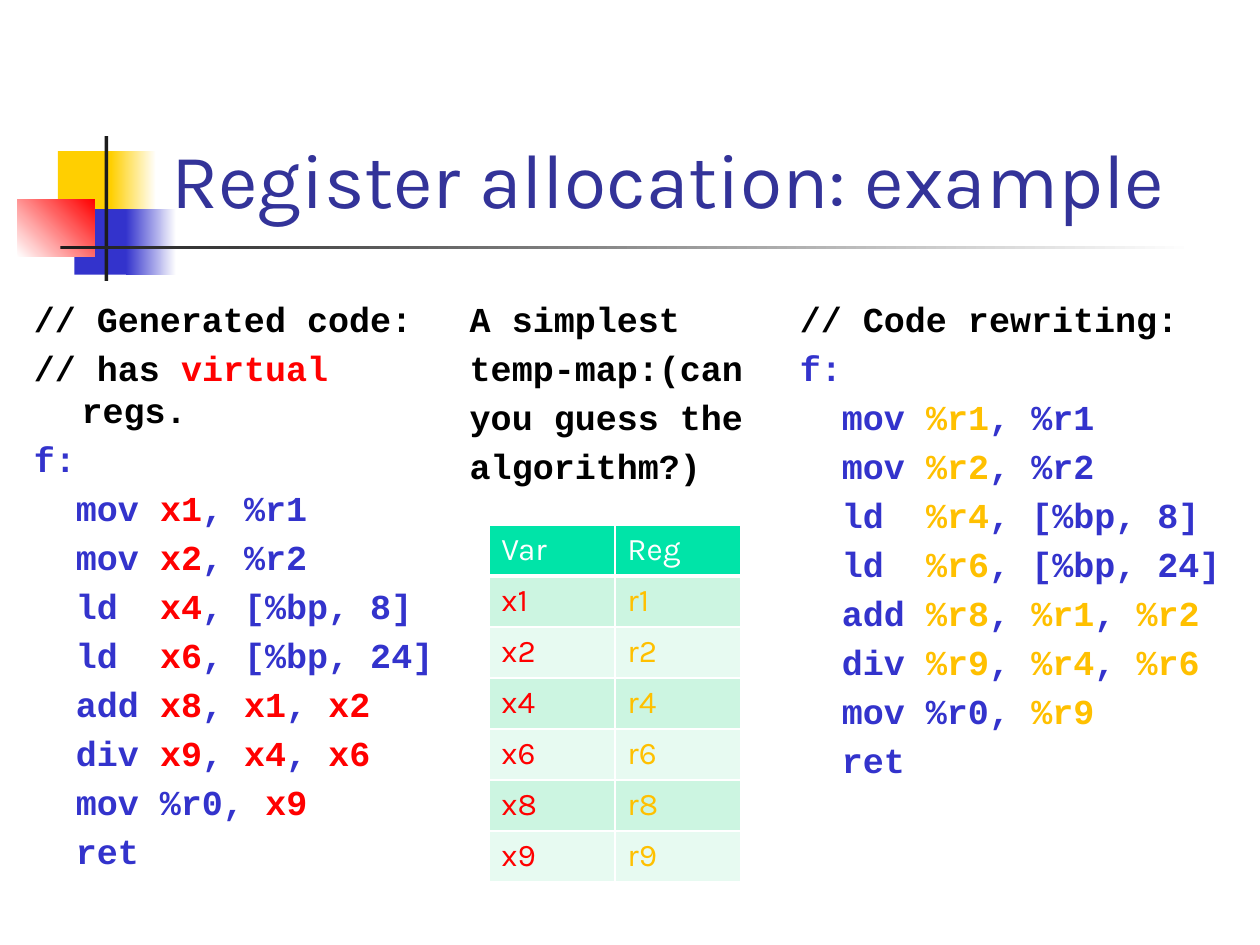
"""Build the slide 'Register allocation: example'."""
from lxml import etree
from pptx import Presentation
from pptx.dml.color import RGBColor
from pptx.enum.shapes import MSO_SHAPE
from pptx.enum.text import MSO_ANCHOR
from pptx.oxml.ns import qn
from pptx.util import Inches, Pt

RECT = MSO_SHAPE.RECTANGLE
BOTTOM = MSO_ANCHOR.BOTTOM
HEX = {
    "gold": "FFCF01", "blue": "3333CC", "red": "FF0000", "dark": "1C1C1C",
    "white": "FFFFFF", "title": "333399", "black": "000000",
    "amber": "FFC000", "head": "00E4A8", "odd": "CCF5E1", "even": "E7FAF1",
}
TITLE = "Register allocation: example"
DECOR = [
    ((0.46, 1.2, 0.48, 0.52), ["gold"], 0),
    ((0.88, 1.2, 0.36, 0.52), ["gold", "white"], 0),
    ((0.59, 1.66, 0.46, 0.52), ["blue"], 0),
    ((1, 1.66, 0.4, 0.52), ["blue", "white"], 0),
    ((0.14, 1.58, 0.61, 0.46), ["white", "red"], 45),
    ((0.83, 1.08, 0.03, 1.15), ["dark"], 0),
    ((0.48, 1.95, 9, 0.03), ["dark", "white"], 0),
]
NOTE = ["A simplest", "temp-map:(can", "you guess the", "algorithm?)"]
INTRO = ["// Generated code:", "// has |virtual| regs."]
REWRITE = ["// Code rewriting:"]
CODE = [
    "f:",
    "  mov |{0}1|, %r1",
    "  mov |{0}2|, %r2",
    "  ld  |{0}4|, [%bp, 8]",
    "  ld  |{0}6|, [%bp, 24]",
    "  add |{0}8|, |{0}1|, |{0}2|",
    "  div |{0}9|, |{0}4|, |{0}6|",
    "  mov %r0, |{0}9|",
    "  ret",
]
MAP = [("Var", "Reg")] + [(f"x{n}", f"r{n}") for n in (1, 2, 4, 6, 8, 9)]


def rgb(name):
    return RGBColor.from_string(HEX[name])


def style(font, face, size, color=None, bold=False):
    font.name, font.size, font.bold = face, Pt(size), bold
    if color:
        font.color.rgb = rgb(color)


def block(shapes, box, tint):
    item = shapes.add_shape(RECT, *map(Inches, box))
    item.shadow.inherit = False
    item.line.fill.background()
    colors, angle = tint
    if len(colors) == 1:
        item.fill.solid()
        item.fill.fore_color.rgb = rgb(colors[0])
        return
    item.fill.gradient()
    item.fill.gradient_angle = angle
    for stop, color in zip(item.fill.gradient_stops, colors):
        stop.color.rgb = rgb(color)


def frame(shapes, box):
    text = shapes.add_textbox(*map(Inches, box)).text_frame
    text.word_wrap = True
    return text


def listing(shapes, box, lines, accent="black", base="blue"):
    text = frame(shapes, box)
    text.margin_top = Inches(0.11)
    for i, line in enumerate(lines):
        para = text.paragraphs[0] if i == 0 else text.add_paragraph()
        props = para._p.get_or_add_pPr()
        props.set("marL", str(Inches(0.38)))
        props.set("indent", str(Inches(-0.38)))
        para.space_before = Pt(4 if i else 0)
        style(para.font, "Courier New", 20, bold=True)
        plain = "black" if line.startswith("//") else base
        for j, part in enumerate(line.split("|")):
            if part:
                run = para.add_run()
                run.text = part
                run.font.color.rgb = rgb(accent if j % 2 else plain)


def border(cell, sides):
    props = cell._tc.get_or_add_tcPr()
    for i, (side, width) in enumerate(sides):
        line = etree.Element(qn(f"a:ln{side}"), w=str(Pt(width)))
        fill = etree.SubElement(line, qn("a:solidFill"))
        etree.SubElement(fill, qn("a:srgbClr"), val=HEX["white"])
        props.insert(i, line)


def grid(shapes):
    spot = map(Inches, (3.88, 4.17, 2, 2.82))
    table = shapes.add_table(len(MAP), 2, *spot).table
    table.first_row = table.horz_banding = False
    for r, words in enumerate(MAP):
        table.rows[r].height = Inches(0.405 if r else 0.39)
        back = ("even", "odd")[r % 2] if r else "head"
        for c, word in enumerate(words):
            cell = table.cell(r, c)
            cell.text = word
            cell.fill.solid()
            cell.fill.fore_color.rgb = rgb(back)
            color = ("red", "amber")[c] if r else "white"
            style(cell.text_frame.paragraphs[0].font, "Karla", 18, color)
            top, low = 3 if r == 1 else 1, 1 if r else 3
            border(cell, [("L", 1), ("R", 1), ("T", top), ("B", low)])


def main():
    deck = Presentation()
    deck.slide_width, deck.slide_height = Inches(10), Inches(7.5)
    shapes = deck.slides.add_slide(deck.slide_layouts[6]).shapes
    for box, *tint in DECOR:
        block(shapes, box, tint)
    head = frame(shapes, (1.26, 0.23, 8.52, 1.6))
    head.vertical_anchor = BOTTOM
    head.text = TITLE
    style(head.paragraphs[0].font, "Karla", 44, "title")
    listing(shapes, (3.63, 2.25, 2.96, 1.58), NOTE, base="black")
    before = INTRO + [line.format("x") for line in CODE]
    listing(shapes, (0.17, 2.25, 3.5, 4.5), before, "red")
    grid(shapes)
    after = REWRITE + [line.format("%r") for line in CODE]
    listing(shapes, (6.25, 2.25, 3.67, 4.5), after, "amber")
    deck.save("out.pptx")


if __name__ == "__main__":
    main()
